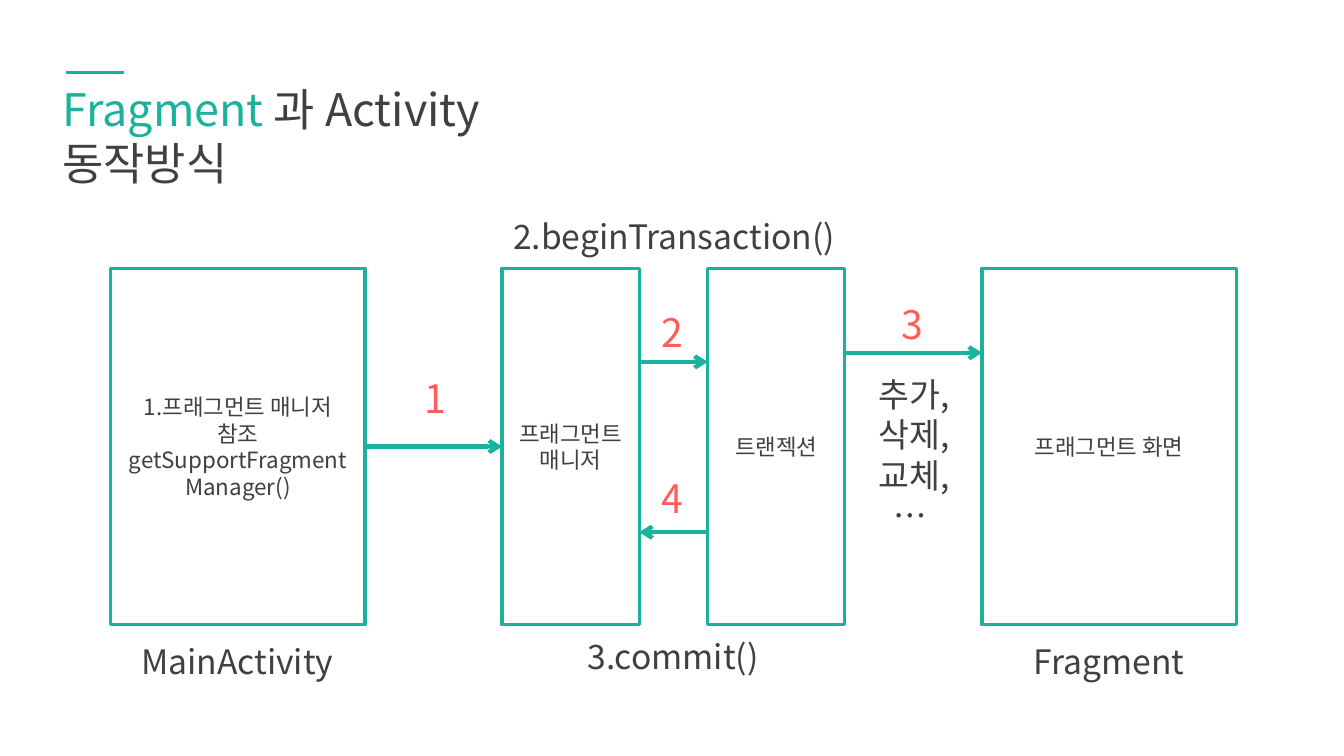
import pptx
import pptx.dml.color
import pptx.enum.shapes
import pptx.enum.text
import pptx.oxml
import pptx.oxml.ns
import pptx.util
from pptx.util import Inches

TEAL = pptx.dml.color.RGBColor(0x1A, 0xB2, 0x9D)
DARK = pptx.dml.color.RGBColor(0x40, 0x40, 0x40)
CORAL = pptx.dml.color.RGBColor(0xFF, 0x5D, 0x5B)
FONT = "Noto Sans CJK KR"
CENTER = pptx.enum.text.PP_ALIGN.CENTER
LEFT = pptx.enum.text.PP_ALIGN.LEFT


def add_run(paragraph, text, size, color):
    run = paragraph.add_run()
    run.text = text
    run.font.size = pptx.util.Pt(size)
    run.font.name = FONT
    run.font.color.rgb = color
    east_asian = pptx.oxml.parse_xml(
        f'<a:ea {pptx.oxml.ns.nsdecls("a")} typeface="{FONT}"/>')
    run.font._element.find(pptx.oxml.ns.qn("a:latin")).addnext(east_asian)


def add_line(start, end, weight, arrow):
    line = slide.shapes.add_connector(
        pptx.enum.shapes.MSO_CONNECTOR.STRAIGHT,
        *(Inches(value) for value in start + end))
    line.line.color.rgb = TEAL
    line.line.width = pptx.util.Pt(weight)
    namespace = pptx.oxml.ns.nsdecls("a")
    if arrow:
        line.line._get_or_add_ln().append(
            pptx.oxml.parse_xml(f'<a:tailEnd {namespace} type="arrow"/>'))
    line._element.spPr.append(pptx.oxml.parse_xml(f"<a:effectLst {namespace}/>"))


presentation = pptx.Presentation()
presentation.slide_width = Inches(13.33)
presentation.slide_height = Inches(7.5)
slide = presentation.slides.add_slide(presentation.slide_layouts[5])

# Title with its accent line
title = slide.shapes.title
title.left, title.top = Inches(0.52), Inches(0.76)
title.width, title.height = Inches(6.36), Inches(0.64)
title.text_frame.word_wrap = True
title.text_frame.auto_size = pptx.enum.text.MSO_AUTO_SIZE.NONE
title.text_frame.vertical_anchor = pptx.enum.text.MSO_ANCHOR.TOP
heading = title.text_frame.paragraphs[0]
heading.alignment = LEFT
add_run(heading, "Fragment ", 32, TEAL)
add_run(heading, "과 Activity", 32, DARK)
heading.add_line_break()
add_run(heading, "동작방식", 32, DARK)
add_line((0.65, 0.72), (1.23, 0.72), 2, False)

# Component boxes: left, width, lines
components = [
    (1.1, 2.52, ["1.프래그먼트 매니저", "참조", "getSupportFragmentManager()"]),
    (4.98, 1.36, ["프래그먼트", "매니저"]),
    (7.02, 1.36, ["트랜젝션"]),
    (9.74, 2.52, ["프래그먼트 화면"]),
]
for left, width, lines in components:
    component = slide.shapes.add_shape(
        pptx.enum.shapes.MSO_SHAPE.RECTANGLE,
        Inches(left), Inches(2.66), Inches(width), Inches(3.54))
    component.shadow.inherit = False
    component.fill.background()
    component.line.color.rgb = TEAL
    component.line.width = pptx.util.Pt(2.25)
    frame = component.text_frame
    frame.word_wrap = True
    frame.vertical_anchor = pptx.enum.text.MSO_ANCHOR.MIDDLE
    for index, text in enumerate(lines):
        paragraph = frame.add_paragraph() if index else frame.paragraphs[0]
        paragraph.alignment = CENTER
        add_run(paragraph, text, 16, DARK)

# Call arrows: start x, end x, y
for start, end, y in [(3.62, 4.98, 4.43), (6.34, 7.02, 3.59),
                      (8.38, 9.74, 3.5), (7.02, 6.34, 5.28)]:
    add_line((start, y), (end, y), 3, True)

# Step numbers and captions: left, top, width, height, lines, size, colour, alignment
step_places = [(4.11, 3.66), (6.46, 3.01), (8.84, 2.93), (6.46, 4.66)]
labels = [(left, top, 0.44, 0.57, [str(number)], 28, CORAL, LEFT)
          for number, (left, top) in enumerate(step_places, start=1)]
captions = [
    (8.59, 3.66, 0.95, 1.72, ["추가,", "삭제,", "교체,", "… "]),
    (4.99, 2.09, 3.39, 0.5, ["2.beginTransaction()"]),
    (5.71, 6.26, 1.93, 0.5, ["3.commit()"]),
    (1.29, 6.31, 2.13, 0.5, ["MainActivity"]),
    (10.15, 6.31, 1.7, 0.5, ["Fragment"]),
]
labels += [caption + (24, DARK, CENTER) for caption in captions]
for left, top, width, height, lines, size, color, alignment in labels:
    label = slide.shapes.add_textbox(
        Inches(left), Inches(top), Inches(width), Inches(height))
    frame = label.text_frame
    frame.word_wrap = False
    frame.auto_size = pptx.enum.text.MSO_AUTO_SIZE.SHAPE_TO_FIT_TEXT
    for index, text in enumerate(lines):
        paragraph = frame.add_paragraph() if index else frame.paragraphs[0]
        paragraph.alignment = alignment
        add_run(paragraph, text, size, color)

presentation.save("out.pptx")
